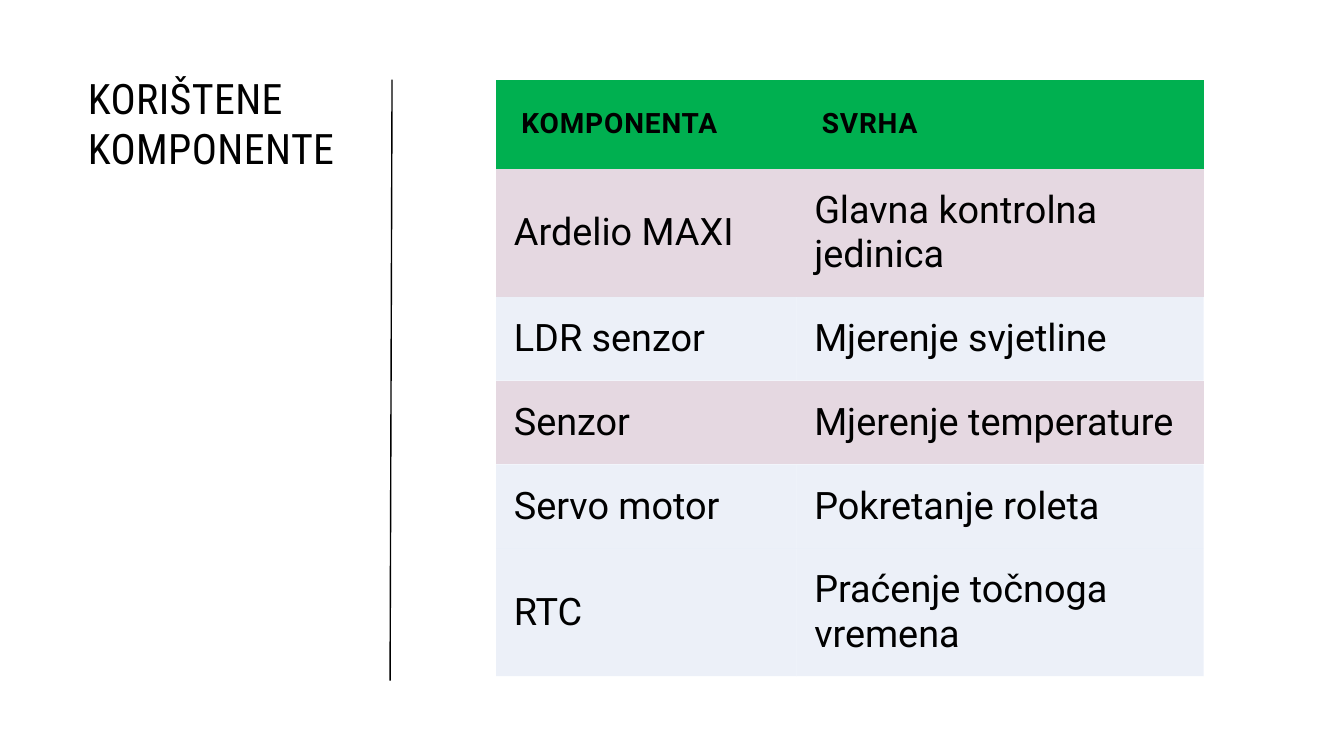
from lxml.etree import SubElement
from pptx import Presentation
from pptx.dml.color import RGBColor
from pptx.enum.shapes import MSO_CONNECTOR
from pptx.enum.text import MSO_ANCHOR, MSO_AUTO_SIZE, PP_ALIGN
from pptx.oxml.ns import qn
from pptx.util import Cm, Pt

TITLE = "KORIŠTENE KOMPONENTE"
HEAD = ("KOMPONENTA", "SVRHA")
PARTS = [
    # component, purpose, fill, row height in cm
    ("Ardelio MAXI", "Glavna kontrolna jedinica", "pink", 3.23),
    ("LDR senzor", "Mjerenje svjetline", "blue", 2.11),
    ("Senzor", "Mjerenje temperature", "pink", 2.11),
    ("Servo motor", "Pokretanje roleta", "blue", 2.11),
    ("RTC", "Praćenje točnoga vremena", "blue", 3.23),
]
COLS = (7.57, 10.26)
HEAD_H = 2.24
TOP = 2.01
COLORS = {"ink": "000000", "green": "00B050", "pink": "E5D8E1", "blue": "DAE3F3"}
ALPHA = {"blue": 50}
NO_STYLE = "{2D5ABB26-0587-4C30-8999-92F81FD0307C}"


def color(name):
    return RGBColor.from_string(COLORS[name])


def write(frame, text, font, size, bold=False, space=0):
    """Add one left-aligned run; space is the letter spacing in points."""
    para = frame.paragraphs[0]
    para.alignment = PP_ALIGN.LEFT
    run = para.add_run()
    run.text = text
    run.font.name = font
    run.font.size = Pt(size)
    run.font.bold = bold
    run.font.color.rgb = color("ink")
    if space:
        run.font._element.set("spc", str(round(space * 100)))


def paint(cell, name):
    cell.fill.solid()
    cell.fill.fore_color.rgb = color(name)
    if name in ALPHA:
        tint = cell._tc.tcPr.find(".//" + qn("a:srgbClr"))
        SubElement(tint, qn("a:alpha"), val=str(ALPHA[name] * 1000))


def add_title(slide):
    title = slide.shapes.title
    title.left, title.top = Cm(1.96), Cm(1.7)
    title.width, title.height = Cm(7.01), Cm(12.47)
    frame = title.text_frame
    frame.auto_size = MSO_AUTO_SIZE.NONE
    frame.word_wrap = True
    frame.vertical_anchor = MSO_ANCHOR.TOP
    write(frame, TITLE, "Roboto Condensed", 30, space=0.3)


def add_rule(slide):
    rule = slide.shapes.add_connector(
        MSO_CONNECTOR.STRAIGHT, Cm(9.83), Cm(17.15), Cm(9.88), Cm(TOP))
    rule.line.color.rgb = color("ink")
    rule.line.width = Pt(1)
    SubElement(rule._element.spPr, qn("a:effectLst"))


def add_parts(slide):
    rows = [(*HEAD, "green", HEAD_H)] + PARTS
    high = sum(row[-1] for row in rows)
    table = slide.shapes.add_table(
        len(rows), len(COLS), Cm(12.5), Cm(TOP), Cm(sum(COLS)), Cm(high)).table
    table.horz_banding = False
    table._tbl.tblPr.find(qn("a:tableStyleId")).text = NO_STYLE
    for col, wide in zip(table.columns, COLS):
        col.width = Cm(wide)
    for r, (part, use, fill, tall) in enumerate(rows):
        table.rows[r].height = Cm(tall)
        pad = Cm(0.45 if r else 0.64)
        for c, text in enumerate((part, use)):
            cell = table.cell(r, c)
            cell.vertical_anchor = MSO_ANCHOR.MIDDLE
            cell.margin_left = cell.margin_right = pad
            cell.margin_top = cell.margin_bottom = pad
            paint(cell, fill)
            if r:
                write(cell.text_frame, text, "Roboto", 27)
            else:
                write(cell.text_frame, text, "Roboto", 20, bold=True, space=0.6)


def main():
    deck = Presentation()
    deck.slide_width, deck.slide_height = Cm(33.87), Cm(19.05)
    slide = deck.slides.add_slide(deck.slide_layouts[5])
    add_title(slide)
    add_rule(slide)
    add_parts(slide)
    deck.save("out.pptx")


if __name__ == "__main__":
    main()
